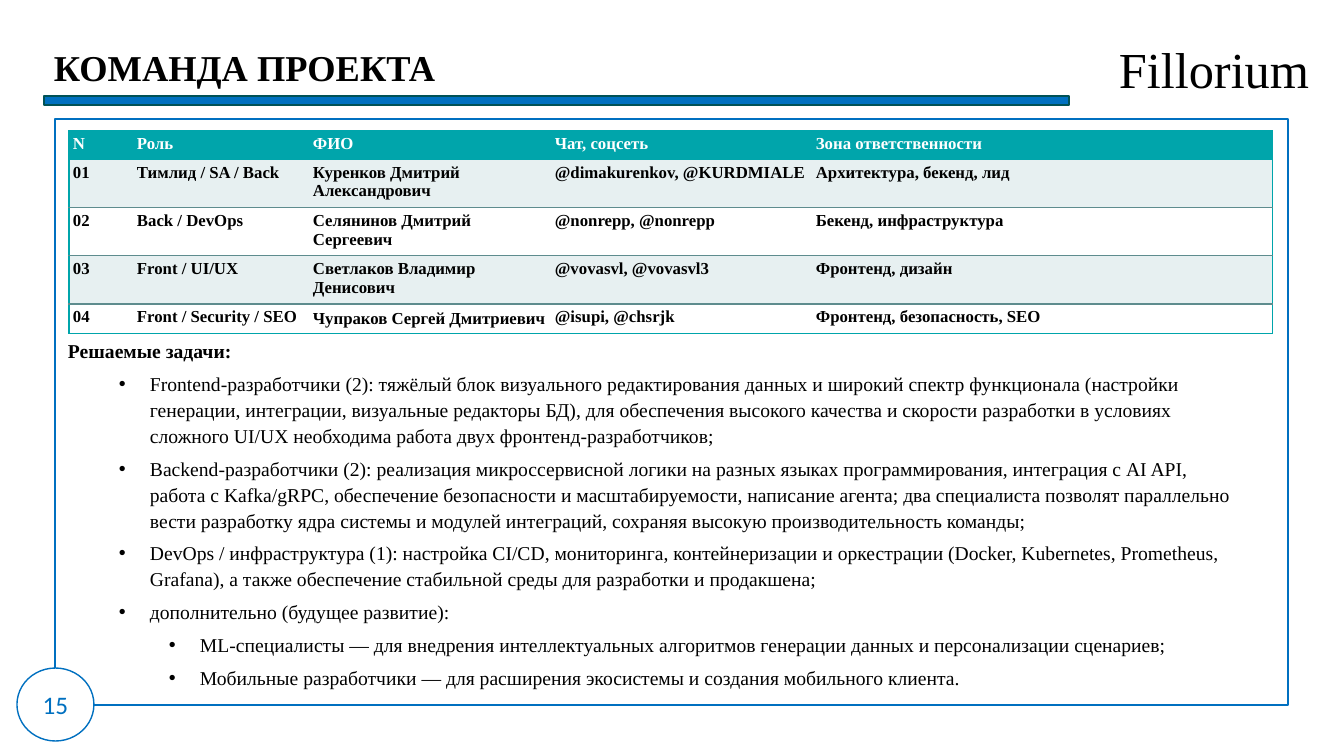
from lxml.etree import SubElement
from pptx import Presentation
from pptx.dml.color import RGBColor as RGB
from pptx.enum.shapes import MSO_SHAPE as SHAPE
from pptx.enum.text import MSO_ANCHOR as ANCHOR, PP_ALIGN as ALIGN
from pptx.oxml.ns import qn
from pptx.util import Emu, Pt

TITLE = "КОМАНДА ПРОЕКТА"
BRAND = "Fillorium"
PAGE = "15"
TEAM = [
    ("N", "Роль", "ФИО", "Чат, соцсеть", "Зона ответственности"),
    ("01", "Тимлид / SA / Back", "Куренков Дмитрий Александрович",
     "@dimakurenkov, @KURDMIALE", "Архитектура, бекенд, лид"),
    ("02", "Back / DevOps", "Селянинов Дмитрий Сергеевич",
     "@nonrepp, @nonrepp", "Бекенд, инфраструктура"),
    ("03", "Front / UI/UX", "Светлаков Владимир Денисович",
     "@vovasvl, @vovasvl3", "Фронтенд, дизайн"),
    ("04", "Front / Security / SEO", "Чупраков Сергей Дмитриевич",
     "@isupi, @chsrjk", "Фронтенд, безопасность, SEO"),
]
TASKS = [
    (0, "Решаемые задачи:"),
    (1, "Frontend-разработчики (2): тяжёлый блок визуального редактирования "
        "данных и широкий спектр функционала (настройки генерации, интеграции, "
        "визуальные редакторы БД), для обеспечения высокого качества и скорости "
        "разработки в условиях сложного UI/UX необходима работа двух "
        "фронтенд-разработчиков;"),
    (1, "Backend-разработчики (2): реализация микроссервисной логики на разных "
        "языках программирования, интеграция с AI API, работа с Kafka/gRPC, "
        "обеспечение безопасности и масштабируемости, написание агента; два "
        "специалиста позволят параллельно вести разработку ядра системы и модулей "
        "интеграций, сохраняя высокую производительность команды;"),
    (1, "DevOps / инфраструктура (1): настройка CI/CD, мониторинга, "
        "контейнеризации и оркестрации (Docker, Kubernetes, Prometheus, Grafana), "
        "а также обеспечение стабильной среды для разработки и продакшена;"),
    (1, "дополнительно (будущее развитие):"),
    (2, "ML-специалисты — для внедрения интеллектуальных алгоритмов генерации "
        "данных и персонализации сценариев;"),
    (2, "Мобильные разработчики — для расширения экосистемы и создания "
        "мобильного клиента."),
]
COLS = (64, 176, 242, 261, 461)
ROWS = (28, 48, 48, 48, 29)

BLACK = RGB(0, 0, 0)
WHITE = RGB(255, 255, 255)
BLUE = RGB(0x00, 0x70, 0xC0)
DARK = RGB(0x00, 0x52, 0x56)
TEAL = RGB(0x00, 0xA5, 0xAB)
PALE = RGB(0xE7, 0xF0, 0xF1)
GRAY = RGB(0x5E, 0x8C, 0x8E)
SERIF = "Times New Roman"
PLAIN = "{2D5ABB26-0587-4C30-8999-92F81FD0307C}"
SCALE = 914400 / 100.8


def px(n):
    return Emu(round(n * SCALE))


def style(para, size, color=BLACK, bold=False, face=SERIF):
    for run in para.runs:
        font = run.font
        font.name, font.size, font.bold = face, Pt(size), bold
        font.color.rgb = color


def add_text(box):
    frame = slide.shapes.add_textbox(*map(px, box)).text_frame
    frame.word_wrap = True
    return frame


def add_form(kind, box, fill, line):
    form = slide.shapes.add_shape(kind, *map(px, box))
    form.shadow.inherit = False
    if fill is None:
        form.fill.background()
    else:
        form.fill.solid()
        form.fill.fore_color.rgb = fill
    form.line.color.rgb = line
    form.line.width = Pt(1)
    return form


def add_edge(cell, side, color):
    line = SubElement(cell._tc.get_or_add_tcPr(), qn("a:ln" + side), w=str(Pt(1)))
    fill = SubElement(line, qn("a:solidFill"))
    SubElement(fill, qn("a:srgbClr"), val=str(color))


def add_team():
    grid = slide.shapes.add_table(
        len(ROWS), len(COLS), px(69), px(131), px(sum(COLS)), px(sum(ROWS))).table
    grid._tbl.tblPr.find(qn("a:tableStyleId")).text = PLAIN
    for col, wide in zip(grid.columns, COLS):
        col.width = px(wide)
    last = len(ROWS) - 1
    for r, (row, tall) in enumerate(zip(TEAM, ROWS)):
        grid.rows[r].height = px(tall)
        for c, word in enumerate(row):
            cell = grid.cell(r, c)
            if c == 0:
                add_edge(cell, "L", TEAL)
            if c == len(COLS) - 1:
                add_edge(cell, "R", TEAL)
            add_edge(cell, "T", GRAY if r > 1 else TEAL)
            add_edge(cell, "B", GRAY if 0 < r < last else TEAL)
            cell.fill.solid()
            cell.fill.fore_color.rgb = TEAL if r == 0 else PALE if r % 2 else WHITE
            cell.margin_left = cell.margin_right = px(4)
            cell.margin_top = cell.margin_bottom = px(4)
            cell.text_frame.text = word
            style(cell.text_frame.paragraphs[0], 12, BLACK if r else WHITE, True)
    para = grid.cell(last, 2).text_frame.paragraphs[0]
    para.alignment = ALIGN.JUSTIFY
    para.line_spacing = 1.07


def add_tasks():
    frame = add_text((58, 332, 1184, 351))
    for i, (level, words) in enumerate(TASKS):
        para = frame.add_paragraph() if i else frame.paragraphs[0]
        para.text = words
        if level:
            props = para._p.get_or_add_pPr()
            props.set("marL", str(px(32 + 50 * level)))
            props.set("indent", str(px(-31)))
            SubElement(props, qn("a:buFont"), typeface="Arial")
            SubElement(props, qn("a:buChar"), char="•")
            para.level = level
            para.space_before = Pt(5)
        para.line_spacing = 1.1
        style(para, 14, bold=level == 0)


deck = Presentation()
deck.slide_width, deck.slide_height = px(1344), px(756)
slide = deck.slides.add_slide(deck.slide_layouts[6])

head = add_text((44, 33, 728, 61))
head.vertical_anchor = ANCHOR.BOTTOM
head.text = TITLE
head.paragraphs[0].line_spacing = 0.9
style(head.paragraphs[0], 26, bold=True)

brand = add_text((1109, 33, 225, 72))
brand.text = BRAND
style(brand.paragraphs[0], 36)

add_form(SHAPE.RECTANGLE, (55, 119, 1233, 586), None, BLUE)
badge = add_form(SHAPE.FLOWCHART_CONNECTOR, (17, 668, 77, 73), WHITE, BLUE).text_frame
badge.text = PAGE
badge.vertical_anchor = ANCHOR.MIDDLE
badge.paragraphs[0].alignment = ALIGN.CENTER
style(badge.paragraphs[0], 18, BLUE, face="Calibri")
add_form(SHAPE.RECTANGLE, (44, 96, 1025, 9), BLUE, DARK)

add_team()
add_tasks()
deck.save("out.pptx")
